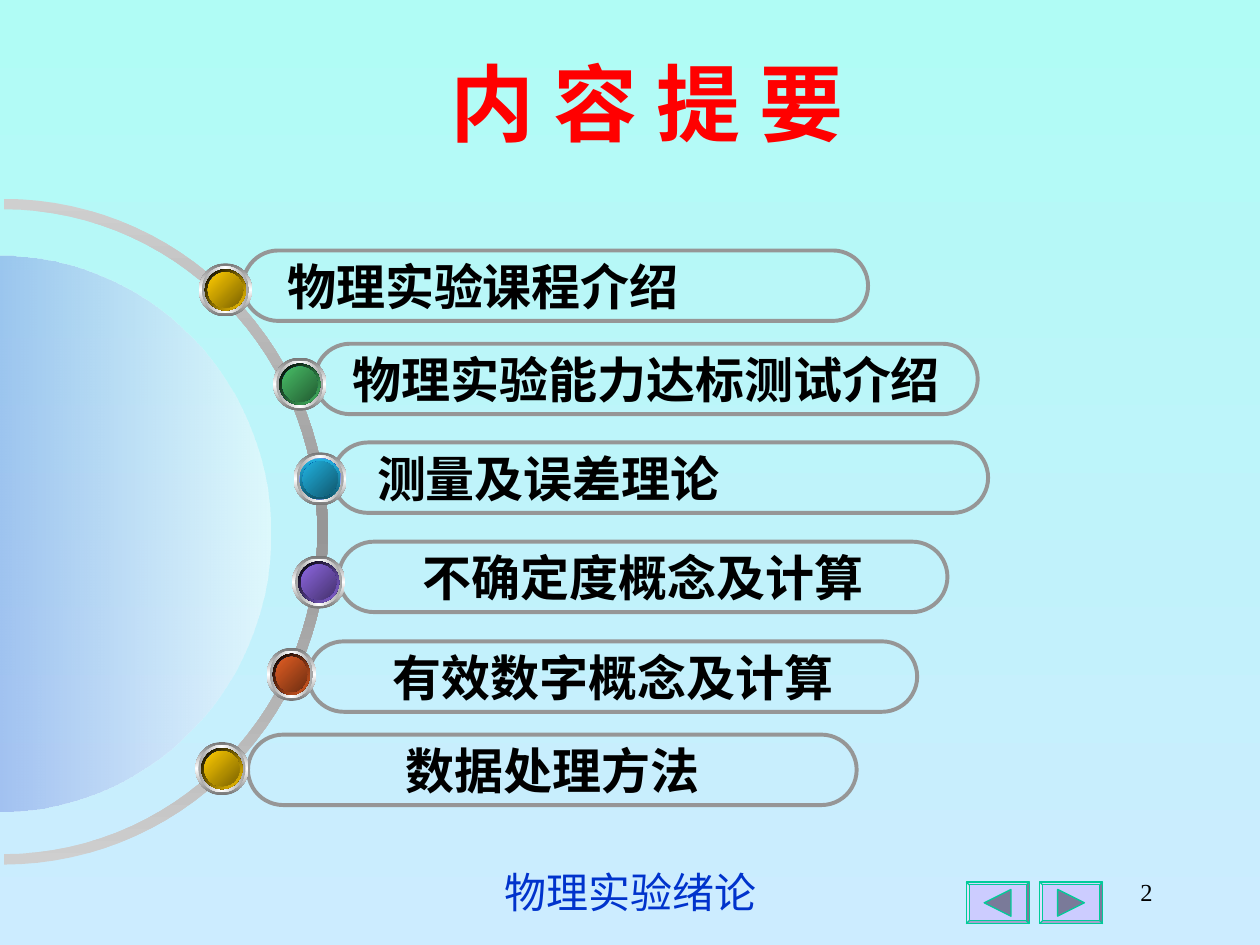
from copy import deepcopy
from math import cos, pi, sin

from lxml import etree
from pptx import Presentation
from pptx.dml.color import RGBColor
from pptx.enum.shapes import MSO_SHAPE
from pptx.enum.text import MSO_ANCHOR, MSO_AUTO_SIZE, PP_ALIGN
from pptx.oxml.ns import qn
from pptx.util import Cm, Pt

LEFT, CENTER, RIGHT = PP_ALIGN.LEFT, PP_ALIGN.CENTER, PP_ALIGN.RIGHT
TOP, MIDDLE = MSO_ANCHOR.TOP, MSO_ANCHOR.MIDDLE
OVAL, PILL = MSO_SHAPE.OVAL, MSO_SHAPE.ROUNDED_RECTANGLE
BEVEL, TRIANGLE = MSO_SHAPE.BEVEL, MSO_SHAPE.ISOSCELES_TRIANGLE

BLACK = RGBColor(0, 0, 0)
WHITE = RGBColor(255, 255, 255)
RED = RGBColor(255, 0, 0)
BLUE = RGBColor(0x00, 0x33, 0xCC)
NAVY = RGBColor(0x00, 0x1C, 0x6E)
PERIWINKLE = RGBColor(0x80, 0x99, 0xE6)
MINT = RGBColor(0xB0, 0xFC, 0xF5)
SKY = RGBColor(0xCC, 0xEC, 0xFF)
GRAY = RGBColor(0x96, 0x96, 0x96)
LIGHT_GRAY = RGBColor(0xCF, 0xCF, 0xCF)
RING_DARK = RGBColor(0x76, 0x76, 0x76)
RING_LIGHT = RGBColor(0xA2, 0xA2, 0xA2)
LAVENDER = RGBColor(0xCC, 0xCC, 0xFF)
SLATE = RGBColor(0x7A, 0x7A, 0x99)
TEAL = RGBColor(0x00, 0xCC, 0x99)
GOLD, GOLD_DARK = RGBColor(0xFF, 0xCC, 0x00), RGBColor(0x7C, 0x63, 0x00)
GREEN, GREEN_DARK = RGBColor(0x48, 0xBE, 0x67), RGBColor(0x23, 0x5C, 0x32)
CYAN, CYAN_DARK = RGBColor(0x21, 0xB3, 0xE1), RGBColor(0x10, 0x57, 0x6D)
PURPLE, PURPLE_DARK = RGBColor(0x8D, 0x67, 0xE1), RGBColor(0x45, 0x32, 0x6D)
ORANGE, ORANGE_DARK = RGBColor(0xE3, 0x5E, 0x23), RGBColor(0x6E, 0x2E, 0x11)

CJK, LATIN = "Noto Sans CJK SC", "Times New Roman"
PILL_HEIGHT, ORB_SIZE = 1.42, 1.07
INDENT = 0.43


def half_ellipse(cx, cy, rx, ry, steps=60):
    """Points of the right half of an ellipse, from top to bottom."""
    angles = [pi * i / steps - pi / 2 for i in range(steps + 1)]
    return [(cx + rx * cos(a), cy + ry * sin(a)) for a in angles]


class Deck:
    def __init__(self, prs):
        self.s = prs.slides.add_slide(prs.slide_layouts[5])

    def gradient(self, owner, fill, colors, angle, alphas=()):
        """Evenly spaced stops; the angle runs clockwise from left to right."""
        fill.gradient()
        fill.gradient_angle = (360 - angle) % 360
        stops = owner.element.find(".//" + qn("a:gsLst"))
        for _ in colors[2:]:
            stops.insert(1, deepcopy(stops[0]))
        for i, (stop, color) in enumerate(zip(fill.gradient_stops, colors)):
            stop.color.rgb = color
            stop.position = i / (len(colors) - 1)
        for stop, alpha in zip(stops, alphas):
            etree.SubElement(stop[0], qn("a:alpha"), val=str(alpha * 1000))

    def background(self, colors):
        self.gradient(self.s, self.s.background.fill, colors, 90)

    def text(self, sp, text, size, color, font, bold=False, align=CENTER,
             anchor=MIDDLE):
        tf = sp.text_frame
        tf.text = text
        tf.word_wrap = True
        tf.auto_size = MSO_AUTO_SIZE.NONE
        tf.vertical_anchor = anchor
        p = tf.paragraphs[0]
        p.alignment = align
        r = p.runs[0]
        r.font.size, r.font.bold, r.font.name = Pt(size), bold, font
        r.font.color.rgb = color
        if font == CJK:
            etree.SubElement(r.font._element, qn("a:ea"), typeface=font)

    def title(self, text, x, y, w, h):
        sp = self.s.shapes.title
        sp.left, sp.top, sp.width, sp.height = Cm(x), Cm(y), Cm(w), Cm(h)
        self.text(sp, text, 48, RED, CJK, True, anchor=TOP)

    def label(self, text, x, y, w, h, **style):
        sp = self.s.shapes.add_textbox(Cm(x), Cm(y), Cm(w), Cm(h))
        self.text(sp, text, **style)

    def shape(self, kind, x, y, w, h, fill=None, line=None, width=0.75,
              parent=None):
        shapes = (parent or self.s).shapes
        sp = shapes.add_shape(kind, Cm(x), Cm(y), Cm(w), Cm(h))
        sp.shadow.inherit = False
        if fill is None:
            sp.fill.background()
        else:
            sp.fill.solid()
            sp.fill.fore_color.rgb = fill
        if line is None:
            sp.line.fill.background()
        else:
            sp.line.color.rgb = line
            sp.line.width = Pt(width)
        return sp

    def outline(self, points, colors, angle, alphas=()):
        points = [(Cm(x), Cm(y)) for x, y in points]
        builder = self.s.shapes.build_freeform(*points[0])
        builder.add_line_segments(points[1:], close=True)
        sp = builder.convert_to_shape()
        sp.shadow.inherit = False
        sp.line.fill.background()
        self.gradient(sp, sp.fill, colors, angle, alphas)

    def pill(self, text, x, y, w, align):
        sp = self.shape(PILL, x, y, w, PILL_HEIGHT, line=GRAY, width=2.25)
        sp.adjustments[0] = 0.5
        self.text(sp, text, 28, BLACK, CJK, True, align)
        if align == LEFT:
            sp.text_frame.margin_left += Cm(INDENT)

    def orb(self, x, y, w, color, dark, rim, rim_angle):
        layers = [
            (0, (RING_DARK, WHITE, RING_DARK), 90),
            (0.06, (RING_LIGHT, WHITE, RING_LIGHT), 0),
            (0.12, (WHITE, BLUE, WHITE), 45),
            (0.12, rim, rim_angle),
            (0.18, (NAVY, BLUE, NAVY), 315),
            (0.18, (color, dark), 45),
        ]
        group = self.s.shapes.add_group_shape()
        for inset, colors, angle in layers:
            sp = self.shape(OVAL, x + inset, y + inset, w - 2 * inset,
                            ORB_SIZE - 2 * inset, parent=group)
            self.gradient(sp, sp.fill, colors, angle)

    def nav_button(self, x, y, rotation):
        frame = self.shape(BEVEL, x, y, 1.27, 0.84, LAVENDER, TEAL)
        frame.adjustments[0] = 0.07
        arrow = self.shape(TRIANGLE, x + 0.36, y + 0.15, 0.54, 0.54, SLATE, TEAL)
        arrow.rotation = rotation


# Topics: text, pill left, top, width, alignment
PILLS = [
    ("物理实验课程介绍", 4.9, 5.05, 12.6, LEFT),
    ("物理实验能力达标测试介绍", 6.35, 6.93, 13.36, CENTER),
    ("测量及误差理论", 6.71, 8.92, 13.21, LEFT),
    ("不确定度概念及计算", 6.83, 10.92, 12.27, CENTER),
    ("有效数字概念及计算", 6.22, 12.93, 12.27, CENTER),
    ("数据处理方法", 5, 14.81, 12.27, CENTER),
]
# Orbs: left, top, width, colour, dark colour, rim colours, rim angle
ORBS = [
    (4.01, 5.31, ORB_SIZE, GOLD, GOLD_DARK, (BLACK, GOLD), 45),
    (5.51, 7.21, ORB_SIZE, GREEN, GREEN_DARK, (BLACK, GREEN), 45),
    (5.92, 9.12, ORB_SIZE, CYAN, CYAN_DARK, (CYAN, CYAN_DARK), 90),
    (5.89, 11.2, ORB_SIZE, PURPLE, PURPLE_DARK, (BLACK, PURPLE), 45),
    (5.38, 13.06, 0.99, ORANGE, ORANGE_DARK, (BLACK, ORANGE), 45),
    (3.94, 14.96, ORB_SIZE, GOLD, GOLD_DARK, (BLACK, GOLD), 45),
]


def main():
    prs = Presentation()
    prs.slide_width, prs.slide_height = Cm(25.4), Cm(19.05)
    deck = Deck(prs)
    deck.background((MINT, SKY))
    deck.title("内 容 提 要", 3.51, 0.91, 19.08, 1.75)

    # Navigation buttons
    deck.nav_button(19.48, 17.78, -90)
    deck.nav_button(20.96, 17.78, 90)

    # Arc and half disc
    outer = half_ellipse(0.08, 10.72, 6.53, 6.71)
    inner = half_ellipse(0.08, 10.72, 6.32, 6.5)
    deck.outline(outer + inner[::-1], (LIGHT_GRAY, GRAY, LIGHT_GRAY), 90)
    deck.outline(half_ellipse(0, 10.76, 5.46, 5.6), (PERIWINKLE, WHITE), 0,
                 (52, 48))

    # Topics along the arc
    for pill, orb in zip(PILLS, ORBS):
        deck.pill(*pill)
        deck.orb(*orb)

    # Footer and page number
    deck.label("物理实验绪论", 8.69, 17.35, 8.05, 1.27,
               size=24, color=BLUE, font=LATIN)
    deck.label("2", 18.21, 17.35, 5.28, 1.27,
               size=14, color=BLACK, font=LATIN, align=RIGHT)
    prs.save("out.pptx")


if __name__ == "__main__":
    main()
